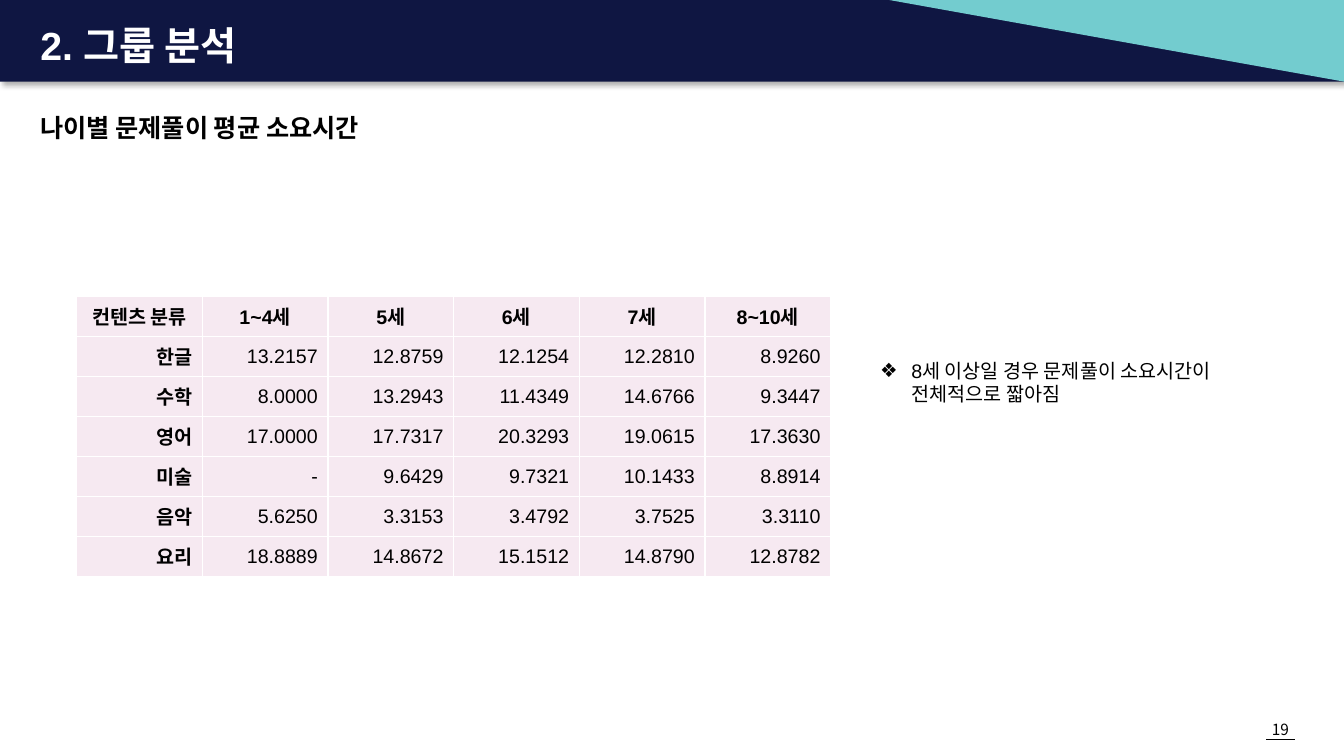
"""Build the slide on average solving time by age group."""
from lxml.etree import SubElement as Sub
from pptx import Presentation
from pptx.dml.color import RGBColor as RGB
from pptx.enum.shapes import MSO_CONNECTOR as Conn, MSO_SHAPE as Kind
from pptx.enum.text import MSO_ANCHOR as Anchor, MSO_AUTO_SIZE as Fit, PP_ALIGN as Align
from pptx.oxml.ns import qn
from pptx.util import Pt

PX = 9144
NAVY = RGB(0x0F, 0x16, 0x42)
TEAL = RGB(0x73, 0xCC, 0xCF)
PINK = RGB(0xF6, 0xE9, 0xF1)
WHITE = RGB(0xFF, 0xFF, 0xFF)
BLACK = RGB(0, 0, 0)
LATIN = "Arial"
HANGUL = "Noto Sans CJK KR"

TIMES = [
    ["컨텐츠 분류", "1~4세", "5세", "6세", "7세", "8~10세"],
    ["한글", "13.2157", "12.8759", "12.1254", "12.2810", "8.9260"],
    ["수학", "8.0000", "13.2943", "11.4349", "14.6766", "9.3447"],
    ["영어", "17.0000", "17.7317", "20.3293", "19.0615", "17.3630"],
    ["미술", "-", "9.6429", "9.7321", "10.1433", "8.8914"],
    ["음악", "5.6250", "3.3153", "3.4792", "3.7525", "3.3110"],
    ["요리", "18.8889", "14.8672", "15.1512", "14.8790", "12.8782"],
]


def scale(*sizes):
    return [size * PX for size in sizes]


class Deck:
    def __init__(self):
        self.show = Presentation()
        self.show.slide_width, self.show.slide_height = scale(1333, 750)
        self.slide = self.show.slides.add_slide(self.show.slide_layouts[1])
        self.shapes = self.slide.shapes

    def style(self, frame, text, size, color=BLACK, bold=False, align=Align.LEFT, font=LATIN):
        frame.text = text
        for para in frame.paragraphs:
            para.alignment = align
            para.space_before = Pt(0)
            for run in para.runs:
                face = run.font
                face.name, face.size, face.bold = font, Pt(size), bold
                face.color.rgb = color
                Sub(run._r.get_or_add_rPr(), qn("a:ea"), typeface=HANGUL)

    def block(self, kind, box, color, turn=0):
        shape = self.shapes.add_shape(kind, *scale(*box))
        shape.shadow.inherit = False
        shape.rotation = turn
        shape.fill.solid()
        shape.fill.fore_color.rgb = color
        shape.line.fill.background()
        return shape

    def shade(self, shape):
        glow = Sub(shape._element.spPr.find(qn("a:effectLst")), qn("a:outerShdw"),
                   blurRad=str(Pt(4)), dist=str(Pt(3)), dir="2700000", algn="tl", rotWithShape="0")
        tint = Sub(glow, qn("a:srgbClr"), val=str(BLACK))
        Sub(tint, qn("a:alpha"), val="29000")

    def line(self, start, end):
        rule = self.shapes.add_connector(Conn.STRAIGHT, *scale(*start, *end))
        rule.line.color.rgb = BLACK
        rule.line.width = Pt(0.5)
        Sub(rule._element.spPr, qn("a:effectLst"))

    def label(self, box, text, size, wrap=True, **look):
        frame = self.shapes.add_textbox(*scale(*box)).text_frame
        frame.word_wrap = wrap
        self.style(frame, text, size, **look)

    def holder(self, index, box, text, size, anchor, **look):
        shape = self.slide.placeholders[index]
        shape.left, shape.top, shape.width, shape.height = scale(*box)
        self.shapes._spTree.append(shape._element)
        frame = shape.text_frame
        frame.auto_size = Fit.NONE
        frame.vertical_anchor = anchor
        self.style(frame, text, size, **look)
        return frame

    def title(self, box, text, size):
        self.holder(0, box, text, size, Anchor.MIDDLE, color=WHITE, bold=True)

    def points(self, box, text, size, mark):
        frame = self.holder(1, box, text, size, Anchor.TOP)
        for para in frame.paragraphs:
            props = para._p.get_or_add_pPr()
            props.set("marL", str(31 * PX))
            props.set("indent", str(-31 * PX))
            Sub(props, qn("a:buChar"), char=mark)

    def edge(self, cell):
        props = cell._tc.get_or_add_tcPr()
        for side in ("lnL", "lnR", "lnT", "lnB"):
            line = Sub(props, qn("a:" + side), w=str(Pt(1)))
            Sub(Sub(line, qn("a:solidFill")), qn("a:srgbClr"), val=str(WHITE))

    def table(self, box, rows, size):
        grid = self.shapes.add_table(len(rows), len(rows[0]), *scale(*box)).table
        for top, row in enumerate(rows):
            for left, text in enumerate(row):
                cell = grid.cell(top, left)
                self.edge(cell)
                cell.fill.solid()
                cell.fill.fore_color.rgb = PINK
                cell.vertical_anchor = Anchor.MIDDLE
                self.style(cell.text_frame, text, size, bold=top == 0 or left == 0,
                           align=Align.RIGHT if top else Align.CENTER)


def main():
    deck = Deck()
    band = deck.block(Kind.RECTANGLE, (0, 0, 1333, 81), NAVY)
    deck.shade(band)
    deck.block(Kind.RIGHT_TRIANGLE, (882, 0, 451, 81), TEAL, 180)
    deck.label((1236, 709, 68, 28), "19", 11, align=Align.CENTER, font=HANGUL)
    deck.line((1256, 734), (1284, 734))
    deck.title((30, 19, 605, 51), "2. 그룹 분석", 28)
    deck.label((30, 107, 369, 40), "나이별 문제풀이 평균 소요시간", 18, wrap=False, bold=True)
    deck.table((76, 294, 748, 278), TIMES, 14)
    deck.points((863, 351, 410, 57), "8세 이상일 경우 문제풀이 소요시간이 전체적으로 짧아짐", 14, "❖")
    deck.show.save("out.pptx")


if __name__ == "__main__":
    main()
